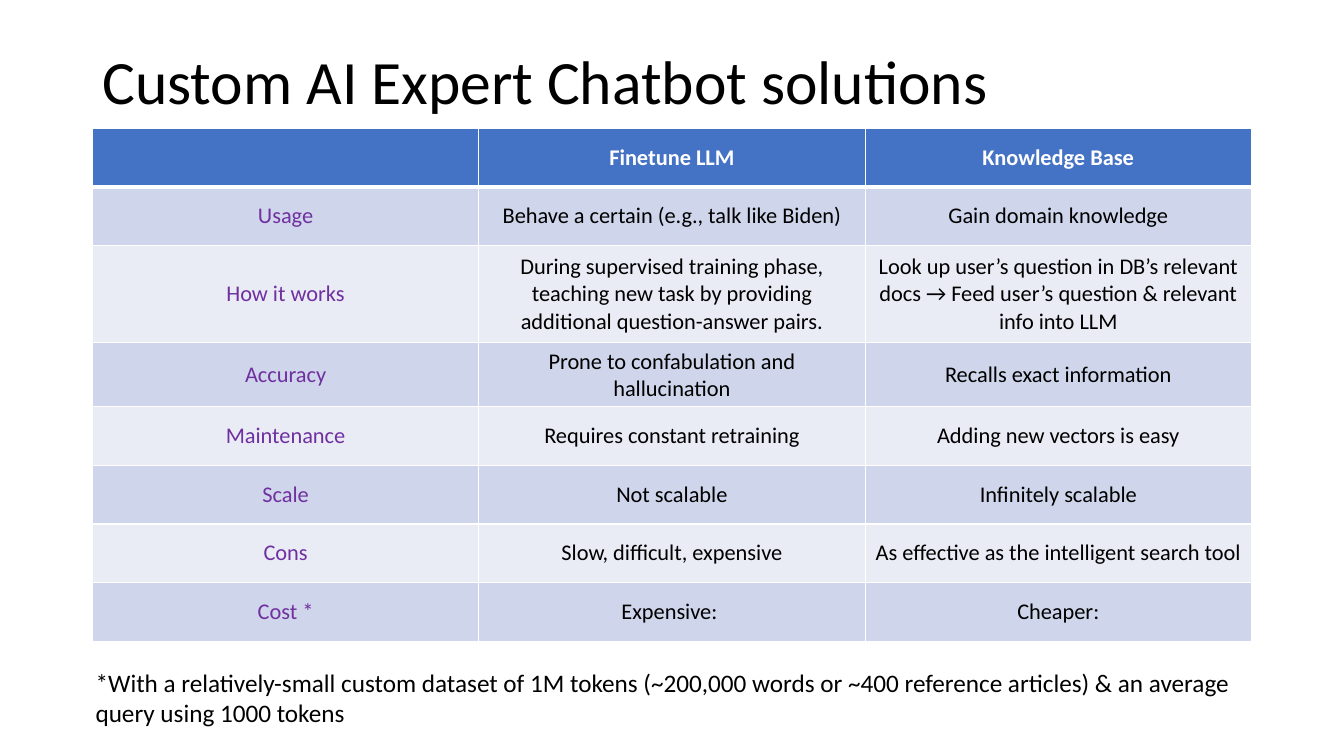
from lxml import etree
from pptx import Presentation
from pptx import util as u
from pptx.dml.color import RGBColor
from pptx.enum import text
from pptx.oxml import ns

# Content
TITLE = "Custom AI Expert Chatbot solutions"
ROWS = [
    ("", "Finetune LLM", "Knowledge Base"),
    ("Usage", "Behave a certain (e.g., talk like Biden)", "Gain domain knowledge"),
    ("How it works",
     "During supervised training phase, teaching new task by providing additional question-answer pairs.",
     "Look up user’s question in DB’s relevant docs → Feed user’s question & relevant info into LLM"),
    ("Accuracy", "Prone to confabulation and hallucination", "Recalls exact information"),
    ("Maintenance", "Requires constant retraining", "Adding new vectors is easy"),
    ("Scale", "Not scalable", "Infinitely scalable"),
    ("Cons", "Slow, difficult, expensive", "As effective as the intelligent search tool"),
    ("Cost *", "Expensive: ", "Cheaper:"),
]
FOOTNOTE = ("*With a relatively-small custom dataset of 1M tokens (~200,000 words or "
            "~400 reference articles) & an average query using 1000 tokens")

# Style and layout, in points
COLORS = {"text": "000000", "label": "7030A0", "header": "4472C4",
          "odd": "CFD5EA", "even": "E9EBF5", "white": "FFFFFF"}
FONT = "Calibri"
LEFT, WIDTH = 66, 828
TABLE_TOP = 91.44
ROW_HEIGHT, TALL_ROW_HEIGHT, TALL_ROW = 41.9, 69.6, 2


def color(name):
    return RGBColor.from_string(COLORS[name])


def set_font(paragraph, size, color_name, bold=False):
    font = paragraph.font
    font.name, font.size, font.bold = FONT, u.Pt(size), bold
    font.color.rgb = color(color_name)


def add_text(slide, box, content, size, anchor):
    shape = slide.shapes.add_textbox(*(u.Pt(length) for length in box))
    frame = shape.text_frame
    frame.word_wrap = True
    frame.vertical_anchor = anchor
    paragraph = frame.paragraphs[0]
    paragraph.text = content
    set_font(paragraph, size, "text")
    return paragraph


def set_borders(cell, widths):
    properties = cell._tc.get_or_add_tcPr()
    for index, (side, width) in enumerate(widths.items()):
        line = etree.Element(ns.qn(f"a:ln{side}"), w=str(u.Pt(width)))
        fill = etree.SubElement(line, ns.qn("a:solidFill"))
        etree.SubElement(fill, ns.qn("a:srgbClr"), val=COLORS["white"])
        properties.insert(index, line)


def fill_cell(cell, content, row, column):
    header = row == 0
    cell.fill.solid()
    cell.fill.fore_color.rgb = color("header" if header else "odd" if row % 2 else "even")
    cell.vertical_anchor = text.MSO_ANCHOR.MIDDLE
    paragraph = cell.text_frame.paragraphs[0]
    paragraph.text = content
    paragraph.alignment = text.PP_ALIGN.CENTER
    set_font(paragraph, 16, "white" if header else "text" if column else "label", header)
    set_borders(cell, {"L": 1, "R": 1, "T": 3 if row == 1 else 1, "B": 3 if header else 1})


def main():
    presentation = Presentation()
    presentation.slide_width, presentation.slide_height = u.Pt(960), u.Pt(540)
    slide = presentation.slides.add_slide(presentation.slide_layouts[6])

    # Title
    title = add_text(slide, (LEFT, 28.8, WIDTH, 62.64), TITLE, 44, text.MSO_ANCHOR.MIDDLE)
    title.line_spacing = 0.9

    # Comparison table
    heights = [TALL_ROW_HEIGHT if row == TALL_ROW else ROW_HEIGHT for row in range(len(ROWS))]
    table = slide.shapes.add_table(len(ROWS), len(ROWS[0]), u.Pt(LEFT), u.Pt(TABLE_TOP),
                                   u.Pt(WIDTH), u.Pt(sum(heights))).table
    for row, (contents, height) in enumerate(zip(ROWS, heights)):
        table.rows[row].height = u.Pt(height)
        for column, content in enumerate(contents):
            fill_cell(table.cell(row, column), content, row, column)

    # Footnote
    add_text(slide, (61.2, 473.04, WIDTH, 51.12), FOOTNOTE, 18, text.MSO_ANCHOR.TOP)

    presentation.save("out.pptx")


if __name__ == "__main__":
    main()
